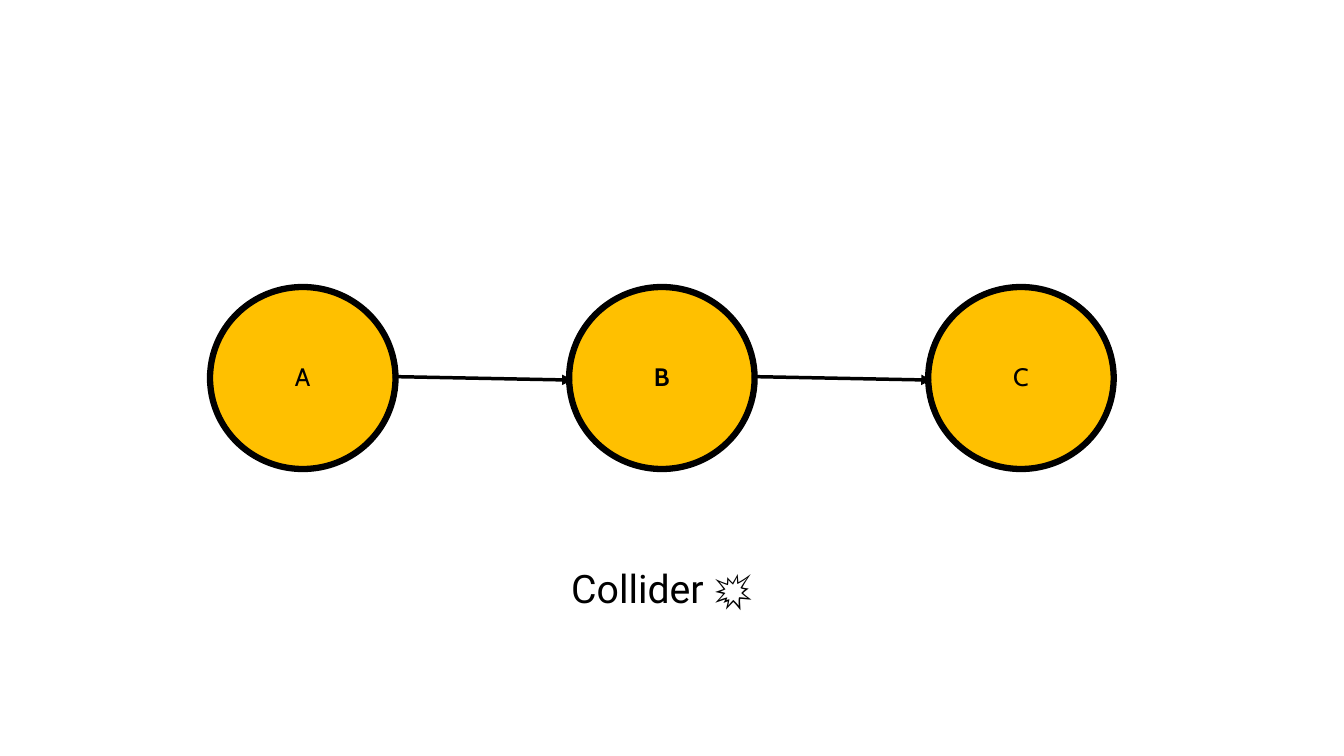
from lxml.etree import SubElement
from pptx import Presentation
from pptx.dml.color import RGBColor
from pptx.enum.shapes import MSO_CONNECTOR, MSO_SHAPE
from pptx.enum.text import MSO_ANCHOR, MSO_AUTO_SIZE, PP_ALIGN
from pptx.oxml.ns import qn
from pptx.util import Pt

PX = 9525  # EMU per px, 96 px to the inch
AMBER = RGBColor(0xFF, 0xC0, 0x00)
BLACK = RGBColor(0, 0, 0)
NODE_W, NODE_H = 265, 260
STEP = 513


def px(*lengths):
    return [n * PX for n in lengths]


def write(tf, text, font, size, spacing, bold=False):
    """Put one centred line of text into a text frame."""
    tf.word_wrap = True
    p = tf.paragraphs[0]
    p.alignment = PP_ALIGN.CENTER
    p.line_spacing = Pt(spacing)
    r = p.add_run()
    r.text = text
    r.font.name = font
    r.font.size = Pt(size)
    r.font.bold = bold
    r.font.color.rgb = BLACK


def add_node(s, x, y, label, bold):
    sp = s.shapes.add_shape(MSO_SHAPE.OVAL, *px(x, y, NODE_W, NODE_H))
    sp.shadow.inherit = False
    sp.fill.solid()
    sp.fill.fore_color.rgb = AMBER
    sp.line.color.rgb = BLACK
    sp.line.width = Pt(6.75)
    tf = sp.text_frame
    tf.vertical_anchor = MSO_ANCHOR.MIDDLE
    tf.margin_left, tf.margin_top, tf.margin_right, tf.margin_bottom = px(6, 6, 6, 10)
    write(tf, label, "Cabin", 27, 32.4, bold)


def add_arrow(s, x1, y1, x2, y2):
    line = s.shapes.add_connector(MSO_CONNECTOR.STRAIGHT, *px(x1, y1, x2, y2))
    line.line.color.rgb = BLACK
    line.line.width = Pt(3.75)
    SubElement(line.line._get_or_add_ln(), qn("a:tailEnd"), type="triangle")
    SubElement(line._element.spPr, qn("a:effectLst"))


def add_chain(s, x, y, labels, emphasised):
    """Draw a row of nodes, then an arrow from each one to the next."""
    lefts = [x + i * STEP for i in range(len(labels))]
    for left, label in zip(lefts, labels):
        add_node(s, left, y, label, label == emphasised)
    for left, following in zip(lefts, lefts[1:]):
        add_arrow(s, left + NODE_W - 4, y + 128, following + 5, y + 133)


def add_caption(s, x, y, w, h, text):
    title = s.shapes.title
    title.left, title.top, title.width, title.height = px(x, y, w, h)
    tf = title.text_frame
    tf.margin_left = tf.margin_top = tf.margin_right = tf.margin_bottom = 0
    tf.vertical_anchor = MSO_ANCHOR.TOP
    tf.auto_size = MSO_AUTO_SIZE.SHAPE_TO_FIT_TEXT
    write(tf, text, "Roboto", 42, 50.4)


def main():
    prs = Presentation()
    prs.slide_width, prs.slide_height = px(1920, 1080)
    s = prs.slides.add_slide(prs.slide_layouts[5])
    add_chain(s, 300, 410, "ABC", emphasised="B")
    add_caption(s, 622, 806, 648, 77, "Collider 💥")
    prs.save("out.pptx")


if __name__ == "__main__":
    main()
